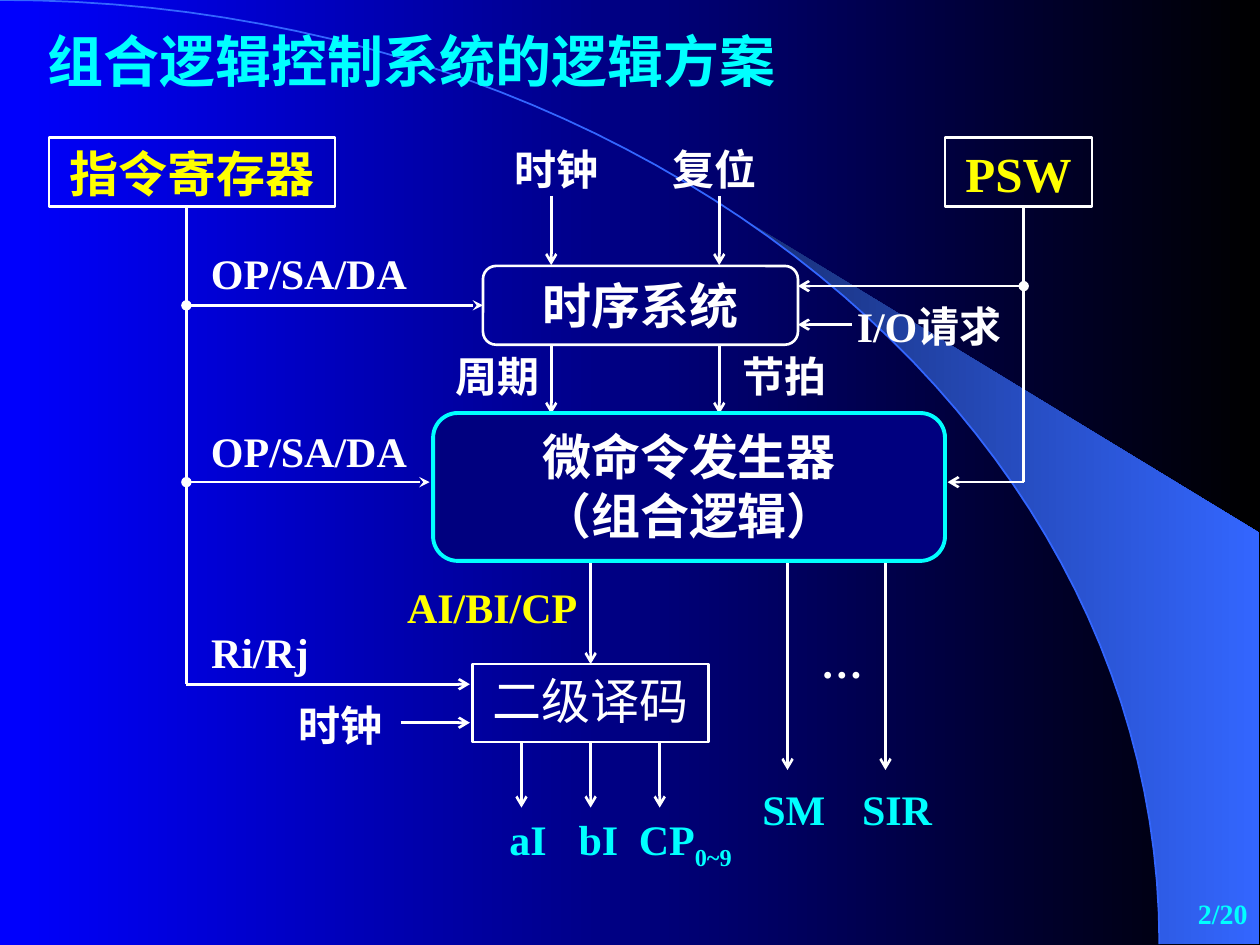
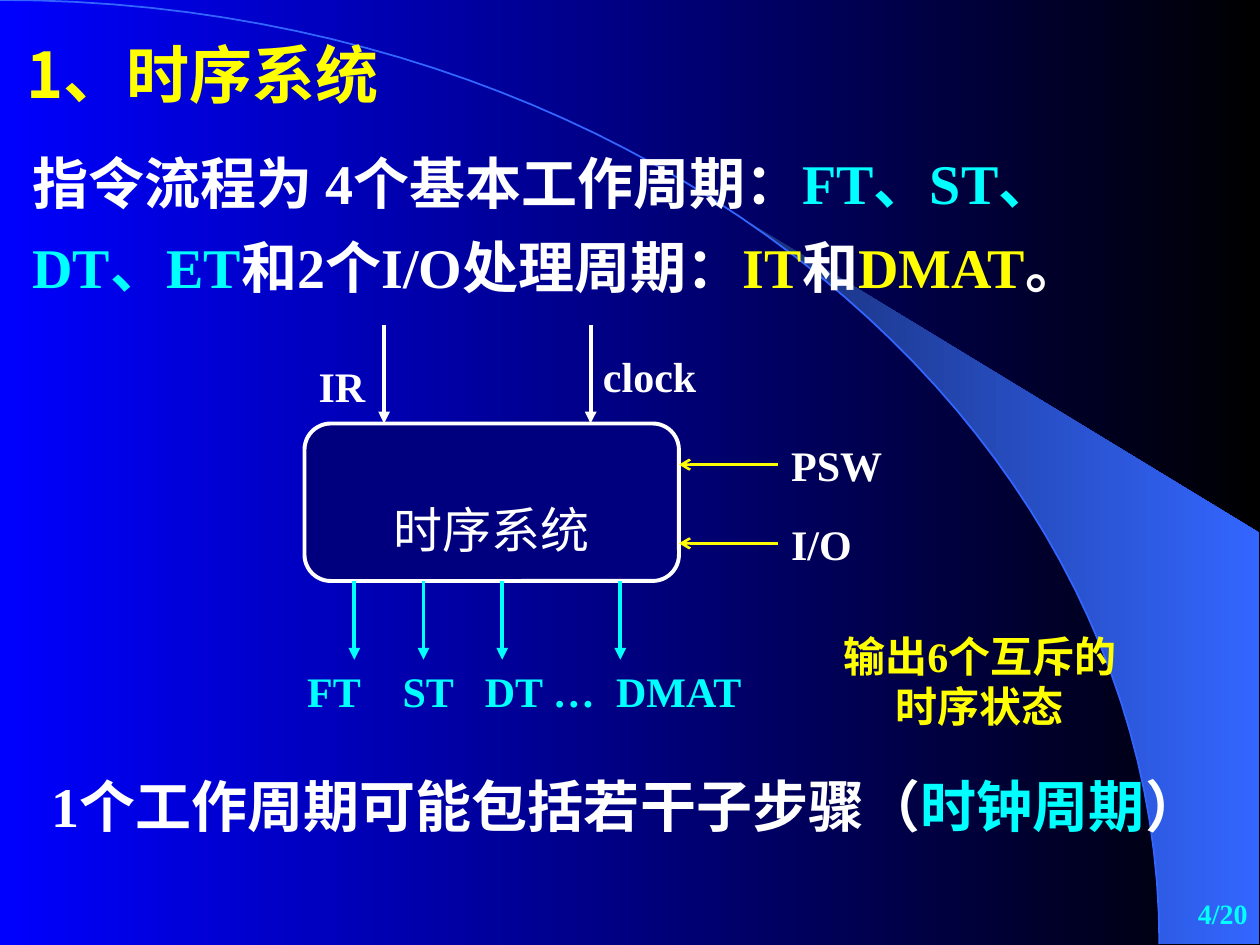
"""Builds two slides on the combinational logic controller and its timing system."""
from lxml import etree
from pptx import Presentation
from pptx.dml.color import RGBColor
from pptx.enum import shapes, text
from pptx.oxml import ns
from pptx.util import Pt

WHITE = RGBColor(0xFF, 0xFF, 0xFF)
YELLOW = RGBColor(0xFF, 0xFF, 0x00)
CYAN = RGBColor(0x00, 0xFF, 0xFF)
BLUE = RGBColor(0x00, 0x00, 0xFF)
BLACK = RGBColor(0x00, 0x00, 0x00)
NAVY = RGBColor(0x00, 0x00, 0x7F)
ARC_BLUE = RGBColor(0x33, 0x66, 0xFF)
WEDGE_DARK = RGBColor(0x18, 0x2F, 0x76)
SERIF, SANS = "Times New Roman", "Noto Sans CJK SC"
RECT = shapes.MSO_SHAPE.RECTANGLE
ROUNDED = shapes.MSO_SHAPE.ROUNDED_RECTANGLE
LEFT, CENTER, RIGHT = text.PP_ALIGN.LEFT, text.PP_ALIGN.CENTER, text.PP_ALIGN.RIGHT


def add_box(page, area, paragraphs, size=24, font=SERIF, bold=True, align=LEFT,
            kind=None, outline=WHITE, weight=1.5, fill=None):
    """Add a text box, or a preset shape when kind is given, with coloured runs."""
    area = [Pt(length) for length in area]
    if kind is None:
        box = page.shapes.add_textbox(*area)
    else:
        box = page.shapes.add_shape(kind, *area)
        box.shadow.inherit = False
        box.line.color.rgb = outline
        box.line.width = Pt(weight)
        if fill is None:
            box.fill.background()
        else:
            box.fill.solid()
            box.fill.fore_color.rgb = fill
    frame = box.text_frame
    frame.word_wrap = True
    frame.vertical_anchor = text.MSO_ANCHOR.TOP
    for number, runs in enumerate(paragraphs):
        para = frame.add_paragraph() if number else frame.paragraphs[0]
        para.alignment = align
        for words, color in runs:
            span = para.add_run()
            span.text = words
            span.font.size = Pt(size)
            span.font.bold = bold
            span.font.name = font
            span.font.color.rgb = color
            east_asian = etree.SubElement(span.font._element, ns.qn("a:ea"))
            east_asian.set("typeface", SANS)
    return box


def add_line(page, x1, y1, x2, y2, color=WHITE, weight=1.5, head="none", tail="arrow"):
    """Add a straight connector with the given line ends."""
    line = page.shapes.add_connector(
        shapes.MSO_CONNECTOR.STRAIGHT, Pt(x1), Pt(y1), Pt(x2), Pt(y2))
    line.line.color.rgb = color
    line.line.width = Pt(weight)
    properties = line._element.spPr
    stroke = properties.find(ns.qn("a:ln"))
    for tag, end in (("a:headEnd", head), ("a:tailEnd", tail)):
        etree.SubElement(stroke, ns.qn(tag)).set("type", end)
    etree.SubElement(properties, ns.qn("a:effectLst"))
    return line


deck = Presentation()
deck.slide_width, deck.slide_height = Pt(720), Pt(540)

STEPS = 50
WEDGE_START = 22
arc = []
for step in range(STEPS + 1):
    t = step / STEPS
    near, far, last = 3 * t * (1 - t) ** 2, 3 * t ** 2 * (1 - t), t ** 3
    arc.append((Pt(366 * near + 662.5 * (far + last)), Pt(241 * far + 539.5 * last)))
wedge_outline = arc[WEDGE_START:] + [(Pt(719.5), Pt(539.5)), (Pt(719.5), Pt(304.5))]

pages = []
for page_number in ("2/20", "4/20"):
    page = deck.slides.add_slide(deck.slide_layouts[6])
    pages.append(page)
    wedge_builder = page.shapes.build_freeform(*wedge_outline[0])
    wedge_builder.add_line_segments(wedge_outline[1:], close=True)
    wedge = wedge_builder.convert_to_shape()
    wedge.shadow.inherit = False
    wedge.line.fill.background()
    for fill, colors in ((page.background.fill, (BLUE, BLACK)),
                         (wedge.fill, (WEDGE_DARK, ARC_BLUE))):
        fill.gradient()
        fill.gradient_angle = 0
        for stop, color in zip(fill.gradient_stops, colors):
            stop.color.rgb = color
    arc_builder = page.shapes.build_freeform(*arc[0])
    arc_builder.add_line_segments(arc[1:], close=False)
    curve = arc_builder.convert_to_shape()
    curve.shadow.inherit = False
    curve.fill.background()
    curve.line.color.rgb = ARC_BLUE
    curve.line.width = Pt(1)
    footer = add_box(page, (570, 504, 150, 36), [[(page_number, CYAN)]], 16, align=RIGHT)
    footer.text_frame.vertical_anchor = text.MSO_ANCHOR.MIDDLE

scheme, timing = pages

add_box(scheme, (20, 11.5, 450, 46), [[("组合逻辑控制系统的逻辑方案", CYAN)]], 32, SANS)
add_box(scheme, (28, 78.5, 163.5, 39.5), [[("指令寄存器", YELLOW)]], 28, SANS,
        align=CENTER, kind=RECT)
add_box(scheme, (540, 78.5, 84, 39.5), [[("PSW", YELLOW)]], 28, align=CENTER, kind=RECT)
timing_box = add_box(scheme, (276, 152, 180, 45), [[("时序系统", WHITE)]], 28, SANS,
                     align=CENTER, kind=ROUNDED)
decoder = add_box(scheme, (270, 379.5, 135, 44.5), [[("二级译码", WHITE)]], 28, SANS,
                  bold=False, align=CENTER, kind=RECT)

REGISTER_X, PSW_X = 106.5, 585
add_line(scheme, REGISTER_X, 118, REGISTER_X, 391, tail="none")
to_timing = add_line(scheme, REGISTER_X, 174.5, 276, 174.5, head="oval", tail="stealth")
to_timing.end_connect(timing_box, 1)
add_line(scheme, REGISTER_X, 275.5, 245.5, 275.5, head="oval", tail="stealth")
add_line(scheme, REGISTER_X, 391, 268.5, 391)
add_line(scheme, 229, 413, 268.5, 413)
add_line(scheme, PSW_X, 118, PSW_X, 275.5, tail="none")
add_line(scheme, PSW_X, 163.5, 456, 163.5, head="oval")
add_line(scheme, 487, 185.5, 456, 185.5)
add_line(scheme, PSW_X, 275.5, 541.5, 275.5)
for x in (315, 411):
    for y in (112, 197):
        add_line(scheme, x, y, x, y + 39.5)
for x in (450, 506):
    add_line(scheme, x, 320.5, x, 440)
add_line(scheme, 337.5, 320.5, 337.5, 379.5).end_connect(decoder, 0)
for x in (298, 337.5, 377):
    output = add_line(scheme, x, 424, x, 461.5)
    if x == 337.5:
        output.begin_connect(decoder, 2)

scheme_labels = [
    ("时钟", 287, 78.5, 64, WHITE), ("复位", 377.5, 78.5, 64, WHITE),
    ("周期", 253.5, 196.5, 64, WHITE), ("节拍", 417, 196.5, 64, WHITE),
    ("时钟", 163.5, 396, 64, WHITE), ("I/O请求", 482.5, 168, 108, WHITE),
    ("OP/SA/DA", 113.5, 138, 130, WHITE), ("OP/SA/DA", 113.5, 239.5, 130, WHITE),
    ("Ri/Rj", 113.5, 354.5, 74, WHITE), ("AI/BI/CP", 225.5, 329, 115, YELLOW),
    ("…", 462, 360, 42, WHITE), ("SM", 428.5, 444, 54, CYAN),
    ("SIR", 485.5, 444, 60, CYAN), ("aI", 284, 461.5, 40, CYAN),
    ("bI", 323.5, 461.5, 40, CYAN),
]
for words, x, y, width, color in scheme_labels:
    add_box(scheme, (x, y, width, 36), [[(words, color)]])
clock_pulses = add_box(scheme, (358, 461.5, 80, 40), [[("CP", CYAN), ("0~9", CYAN)]])
subscript = clock_pulses.text_frame.paragraphs[0].runs[1]
subscript.font._element.set("baseline", "-25000")
add_box(scheme, (247.5, 236, 292.5, 84.5),
        [[("微命令发生器", WHITE)], [("（组合逻辑）", WHITE)]], 28, SANS,
        align=CENTER, kind=ROUNDED, outline=CYAN, weight=2.25, fill=NAVY)

add_box(timing, (8, 16.5, 240, 50.5), [[("1、时序系统", YELLOW)]], 36, SANS)
cycles = add_box(timing, (11.5, 72, 674.5, 104), [[
    ("指令流程为 4个基本工作周期：", WHITE), ("FT、ST、DT、ET", CYAN),
    ("和2个I/O处理周期：", WHITE), ("IT", YELLOW), ("和", WHITE),
    ("DMAT", YELLOW), ("。", WHITE)]], 32)
substeps = add_box(timing, (22.5, 427.5, 674.5, 104), [[
    ("1个工作周期可能包括若干子步骤（", WHITE), ("时钟周期", CYAN), ("）", WHITE)]], 32)
for box in (cycles, substeps):
    box.text_frame.paragraphs[0].line_spacing = 1.25

system = add_box(timing, (174, 242, 214, 90), [[("时序系统", WHITE)]], 28, SANS,
                 bold=False, align=CENTER, kind=ROUNDED, weight=2.25, fill=NAVY)
system.text_frame.margin_top = Pt(39)
for x in (219.5, 337.5):
    add_line(timing, x, 185.5, x, 242, weight=2.25, tail="triangle")
for x in (202.5, 242, 287, 354.5):
    add_line(timing, x, 332, x, 377, CYAN, 2.25, tail="triangle")
for y in (265.5, 310.5):
    add_line(timing, 444.5, y, 388, y, YELLOW)

timing_labels = [
    ("IR", 175, 202.5, 44, WHITE), ("clock", 337.5, 196.5, 72, WHITE),
    ("PSW", 445, 247.5, 70, WHITE), ("I/O", 445, 292.5, 52, WHITE),
    ("FT", 168.5, 376.5, 50, CYAN), ("ST", 223, 376.5, 50, CYAN),
    ("DT …", 270, 376.5, 84, CYAN), ("DMAT", 345, 376.5, 94, CYAN),
]
for words, x, y, width, color in timing_labels:
    add_box(timing, (x, y, width, 36), [[(words, color)]])
add_box(timing, (465, 356.5, 190, 65),
        [[("输出6个互斥的", YELLOW)], [("时序状态", YELLOW)]], align=CENTER)

deck.save("out.pptx")
